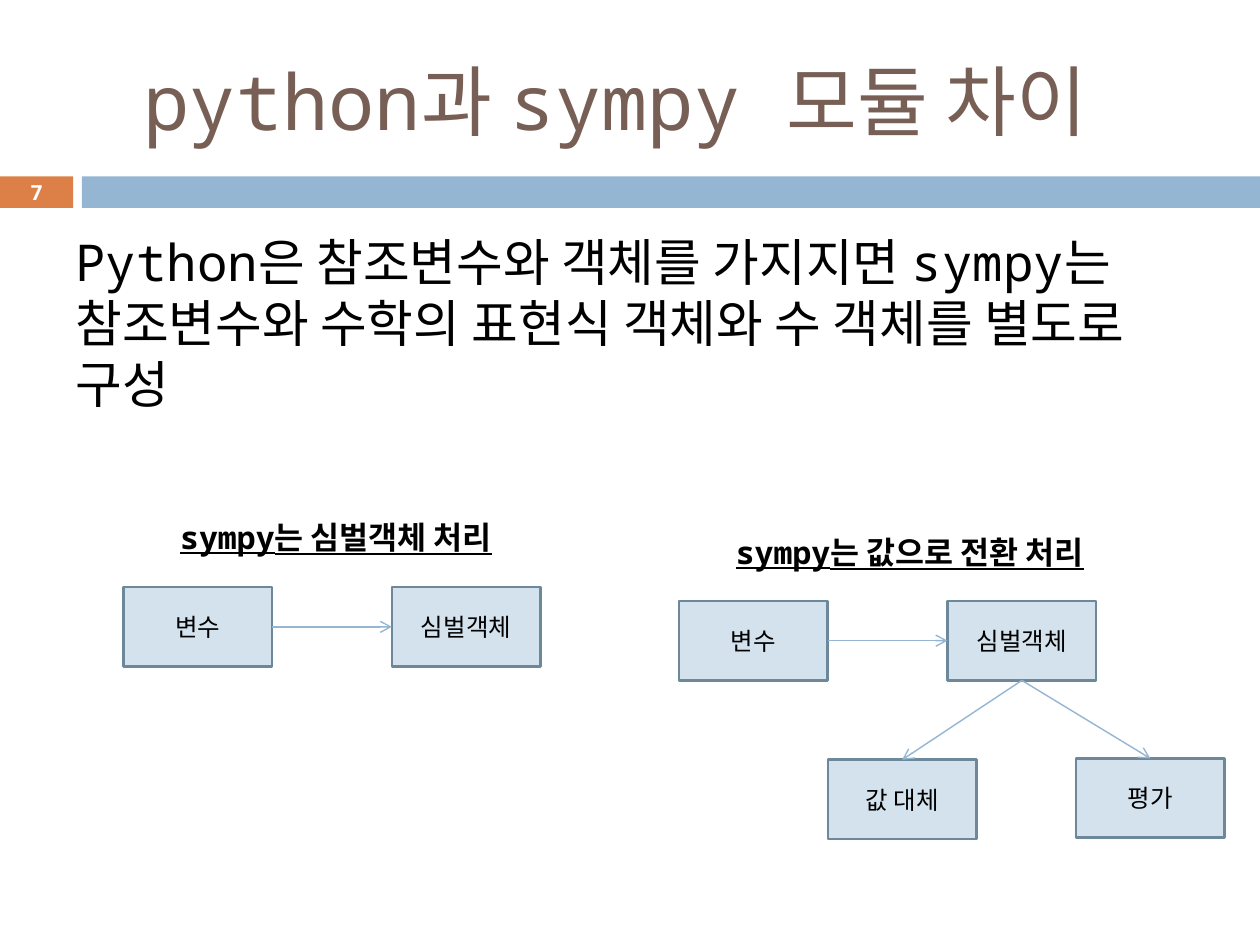
from lxml import etree
from pptx import Presentation
from pptx.dml.color import RGBColor
from pptx.enum.shapes import MSO_CONNECTOR as CONNECTOR, MSO_SHAPE as SHAPE
from pptx.enum.text import MSO_ANCHOR as ANCHOR, PP_ALIGN as ALIGN
from pptx.oxml.ns import qn
from pptx.util import Inches, Pt

COLORS = {
    "title": "775F55",
    "text": "000000",
    "white": "FFFFFF",
    "accent": "DD8047",
    "band": "94B6D2",
    "box": "D4E2ED",
    "border": "6D879B",
}
FONT = "Noto Sans Mono"
BOX_W, BOX_H = 1.18, 0.63
BOX_STEP = 2.13
TOP, LEFT, BOTTOM, RIGHT = range(4)


class SlideBuilder:
    def __init__(self, slide):
        self.slide = slide

    def color(self, name):
        return RGBColor.from_string(COLORS[name])

    def set_text(self, sp, text, size, color="text", align=ALIGN.LEFT,
                 anchor=ANCHOR.TOP, bold=False, underline=False):
        tf = sp.text_frame
        tf.word_wrap = True
        tf.vertical_anchor = anchor
        p = tf.paragraphs[0]
        p.text = text
        p.alignment = align
        font = p.font
        font.name, font.size = FONT, Pt(size)
        font.bold, font.underline = bold, underline
        font.color.rgb = self.color(color)

    def text(self, x, y, w, h, text, size, inset=0.1, **style):
        sp = self.slide.shapes.add_textbox(Inches(x), Inches(y), Inches(w), Inches(h))
        sp.text_frame.margin_left = Inches(inset)
        self.set_text(sp, text, size, **style)

    def rect(self, x, y, w, h, fill, line=None):
        sp = self.slide.shapes.add_shape(
            SHAPE.RECTANGLE, Inches(x), Inches(y), Inches(w), Inches(h))
        sp.shadow.inherit = False
        sp.fill.solid()
        sp.fill.fore_color.rgb = self.color(fill)
        if line:
            sp.line.color.rgb = self.color(line)
            sp.line.width = Pt(1.5)
        else:
            sp.line.fill.background()
        return sp

    def box(self, x, y, text):
        sp = self.rect(x, y, BOX_W, BOX_H, "box", "border")
        self.set_text(sp, text, 14, align=ALIGN.CENTER, anchor=ANCHOR.MIDDLE)
        return sp

    def arrow(self, start, start_side, end, end_side):
        cxn = self.slide.shapes.add_connector(CONNECTOR.STRAIGHT, 0, 0, 0, 0)
        cxn.begin_connect(start, start_side)
        cxn.end_connect(end, end_side)
        cxn.line.color.rgb = self.color("band")
        cxn.line.width = Pt(0.79)
        props = cxn.element.spPr
        etree.SubElement(props.find(qn("a:ln")), qn("a:tailEnd"), type="arrow")
        etree.SubElement(props, qn("a:effectLst"))

    def heading(self, x, y, w, text):
        self.text(x, y, w, 0.4, text, 18, inset=0.25, bold=True, underline=True)

    def variable_pair(self, x, y):
        """Draw a variable pointing to its symbol object; return the latter."""
        variable = self.box(x, y, "변수")
        symbol = self.box(x + BOX_STEP, y, "심벌객체")
        self.arrow(variable, RIGHT, symbol, LEFT)
        return symbol


def main():
    prs = Presentation()
    prs.slide_width, prs.slide_height = Inches(10), Inches(7.5)
    s = SlideBuilder(prs.slides.add_slide(prs.slide_layouts[6]))

    s.rect(0, 1.4, 0.58, 0.25, "accent")
    s.rect(0.65, 1.4, 9.35, 0.25, "band")
    s.text(0.67, 0.25, 8.92, 1.08, "python과 sympy 모듈 차이", 44,
           inset=0.47, color="title", anchor=ANCHOR.MIDDLE)
    s.text(0.5, 1.78, 9, 1.81,
           "Python은 참조변수와 객체를 가지지면 sympy는 "
           "참조변수와 수학의 표현식 객체와 수 객체를 별도로 구성", 29)
    s.text(0, 1.39, 0.58, 0.27, "7", 11.9, color="white",
           align=ALIGN.CENTER, anchor=ANCHOR.MIDDLE, bold=True)

    s.heading(1.18, 4.06, 3.11, "sympy는 심벌객체 처리")
    s.variable_pair(0.98, 4.66)

    s.heading(5.59, 4.18, 3.74, "sympy는 값으로 전환 처리")
    symbol = s.variable_pair(5.39, 4.77)
    for x, y, label in [(6.57, 6.03, "값 대체"), (8.54, 6.02, "평가")]:
        s.arrow(symbol, BOTTOM, s.box(x, y, label), TOP)

    prs.save("out.pptx")


if __name__ == "__main__":
    main()
